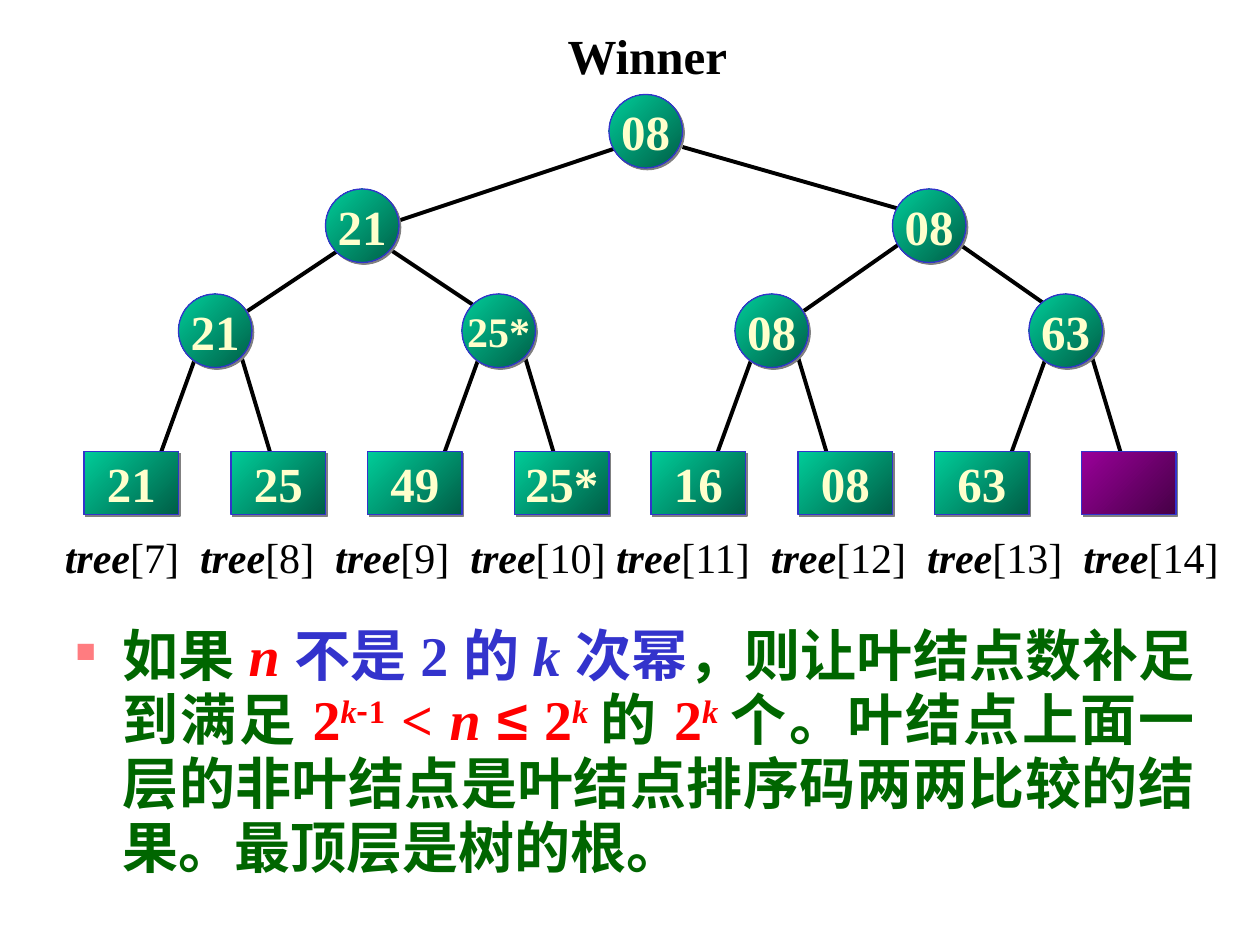
"""Build a slide showing a winner tree with its padded leaf nodes."""
from lxml import etree
from pptx import Presentation
from pptx import util as u
from pptx.dml.color import RGBColor
from pptx.enum import shapes, text
from pptx.oxml.ns import qn

PX = 9525
BLACK = RGBColor(0x00, 0x00, 0x00)
CREAM = RGBColor(0xFF, 0xFF, 0xCC)
BLUE = RGBColor(0x33, 0x33, 0xCC)
GREEN = RGBColor(0x00, 0x66, 0x00)
RED = RGBColor(0xFF, 0x00, 0x00)
TEAL = (RGBColor(0x00, 0x5E, 0x46), RGBColor(0x00, 0xCC, 0x99))
PURPLE = (RGBColor(0x46, 0x00, 0x46), RGBColor(0x99, 0x00, 0x99))
SERIF, SANS, CJK = "Times New Roman", "Arial", "Noto Sans CJK SC"


def add_run(paragraph, words, size, color, bold=True, italic=False, font=SERIF, raised=False):
    run = paragraph.add_run()
    run.text = words
    run.font.size, run.font.name = u.Pt(size), font
    run.font.bold, run.font.italic = bold, italic
    run.font.color.rgb = color
    properties = run._r.get_or_add_rPr()
    etree.SubElement(properties, qn("a:ea"), typeface=CJK)
    if raised:
        properties.set("baseline", "30000")


def add_node(kind, left, top, width, height, key, size, shades):
    node = slide.shapes.add_shape(kind, left * PX, top * PX, width * PX, height * PX)
    node.fill.gradient()
    node.fill.gradient_angle = 135
    for stop, shade in zip(node.fill.gradient_stops, shades):
        stop.color.rgb = shade
    node.line.color.rgb, node.line.width = BLUE, u.Pt(0.75)
    node.shadow.inherit = False
    effects = node._element.spPr.find(qn("a:effectLst"))
    shadow = etree.SubElement(effects, qn("a:outerShdw"), dist=str(u.Pt(1.4)),
                              dir="2700000", algn="ctr", rotWithShape="0")
    etree.SubElement(shadow, qn("a:srgbClr"), val="808080")
    if key:
        frame = node.text_frame
        frame.word_wrap = False
        frame.vertical_anchor = text.MSO_ANCHOR.MIDDLE
        frame.paragraphs[0].alignment = text.PP_ALIGN.CENTER
        add_run(frame.paragraphs[0], key, size, CREAM)


deck = Presentation()
deck.slide_width, deck.slide_height = 960 * PX, 720 * PX
slide = deck.slides.add_slide(deck.slide_layouts[6])

matches = [(136, "21", 28), (352, "25*", 24), (560, "08", 28), (784, "63", 28)]
winners = [(464, 72, "08", 28), (248, 144, "21", 28), (680, 144, "08", 28)]
winners += [(left, 224, key, size) for left, key, size in matches]
leaves = [(64, "21"), (176, "25"), (280, "49"), (392, "25*"),
          (496, "16"), (608, "08"), (712, "63"), (824, "")]

branches = [(520, 112, 688, 160), (304, 168, 472, 112), (688, 184, 608, 240),
            (288, 184, 360, 232), (728, 184, 808, 240), (256, 192, 184, 240)]
for left, _, _ in matches:
    branches.append((left + 16, 264, left - 16, 352))
    branches.append((left + 48, 272, left + 72, 352))
for ends in branches:
    branch = slide.shapes.add_connector(shapes.MSO_CONNECTOR.STRAIGHT, *(end * PX for end in ends))
    branch.line.color.rgb, branch.line.width = BLACK, u.Pt(2.25)
    etree.SubElement(branch._element.spPr, qn("a:effectLst"))

for left, top, key, size in winners:
    add_node(shapes.MSO_SHAPE.OVAL, left, top, 56, 56, key, size, TEAL)
for left, key in leaves:
    add_node(shapes.MSO_SHAPE.RECTANGLE, left, 344, 72, 48, key, 28, TEAL if key else PURPLE)

heading = slide.shapes.add_textbox(423 * PX, 15 * PX, 151 * PX, 55 * PX).text_frame
heading.word_wrap = False
add_run(heading.paragraphs[0], "Winner", 28, BLACK)

indices = slide.shapes.add_textbox(40 * PX, 400 * PX, 904 * PX, 48 * PX).text_frame
indices.word_wrap = True
index_line = indices.paragraphs[0]
index_line.space_before = u.Pt(15)
tab_list = etree.SubElement(index_line._p.get_or_add_pPr(), qn("a:tabLst"))
for stop in (103, 206, 309, 420, 538, 657, 776):
    etree.SubElement(tab_list, qn("a:tab"), pos=str(stop * PX), algn="l")
for index in range(7, 15):
    add_run(index_line, "tree", 24, BLACK, italic=True)
    add_run(index_line, f"[{index}]" + ("\t" if index < 14 else ""), 24, BLACK, bold=False)

rule = slide.shapes.add_textbox(48 * PX, 472 * PX, 872 * PX, 208 * PX).text_frame
rule.word_wrap = True
rule_line = rule.paragraphs[0]
rule_line.alignment = text.PP_ALIGN.JUSTIFY
rule_line.line_spacing = 0.95
layout = rule_line._p.get_or_add_pPr()
layout.set("marL", str(36 * PX))
layout.set("indent", str(-36 * PX))
bullet_color = etree.SubElement(layout, qn("a:buClr"))
etree.SubElement(bullet_color, qn("a:srgbClr"), val="FF7C80")
etree.SubElement(layout, qn("a:buSzPct"), val="50000")
etree.SubElement(layout, qn("a:buChar"), char="■")

for words, color, style in [
    ("如果 ", GREEN, {}),
    ("n ", RED, {"italic": True}),
    ("不是 2 的 ", BLUE, {}),
    ("k ", BLUE, {"italic": True}),
    ("次幂", BLUE, {}),
    ("，则让叶结点数补足到满足 ", GREEN, {}),
    ("2", RED, {}),
    ("k", RED, {"italic": True, "raised": True}),
    ("-", RED, {"font": CJK, "raised": True}),
    ("1", RED, {"raised": True}),
    (" < ", RED, {}),
    ("n ", RED, {"italic": True}),
    ("≤", RED, {"font": SANS}),
    (" 2", RED, {}),
    ("k ", RED, {"italic": True, "raised": True}),
    ("的 ", GREEN, {}),
    ("2", RED, {}),
    ("k ", RED, {"italic": True, "raised": True}),
    ("个。叶结点上面一层的非叶结点是叶结点排序码两两比较的结果。最顶层是树的根。", GREEN, {}),
]:
    add_run(rule_line, words, 32, color, **style)

deck.save("out.pptx")
